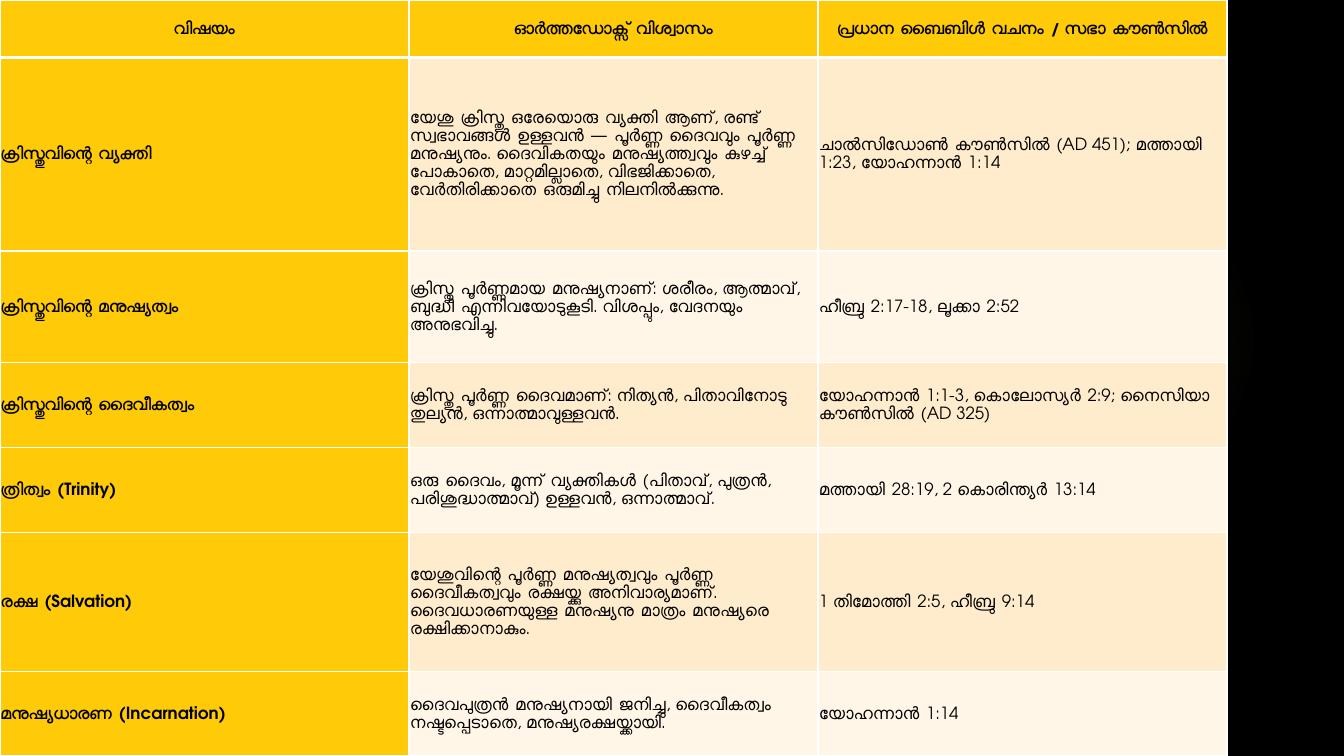
from typing import NamedTuple

from lxml.etree import SubElement
from pptx import Presentation
from pptx.dml.color import RGBColor
from pptx.enum.shapes import MSO_SHAPE
from pptx.enum.text import MSO_ANCHOR, PP_ALIGN
from pptx.oxml import parse_xml
from pptx.oxml.ns import nsdecls, qn
from pptx.slide import Slide
from pptx.table import _Cell
from pptx.util import Inches, Pt

FONT = "TeX Gyre Adventor"
COLORS = {
    "background": "000000",
    "text": "000000",
    "border": "FFFFFF",
    "gold": "FFCA08",
    "odd_row": "FFECCC",
    "even_row": "FFF6E7",
    "glow": "968071",
}
TABLE_WIDTH = 12.17
CELL_MARGIN = Inches(0.01)


class Doctrine(NamedTuple):
    topic: str
    belief: str
    reference: str
    height: float


HEADER = Doctrine("വിഷയം", "ഓർത്തഡോക്സ് വിശ്വാസം", "പ്രധാന ബൈബിൾ വചനം / സഭാ കൗൺസിൽ", 0.57)
DOCTRINES = [
    Doctrine(
        "ക്രിസ്തുവിന്റെ വ്യക്തി",
        "യേശു ക്രിസ്തു ഒരേയൊരു വ്യക്തി ആണ്, രണ്ട് സ്വഭാവങ്ങൾ ഉള്ളവൻ — പൂർണ്ണ ദൈവവും "
        "പൂർണ്ണ മനുഷ്യനും. ദൈവികതയും മനുഷ്യത്ത്വവും കുഴച്ച് പോകാതെ, മാറ്റമില്ലാതെ, "
        "വിഭജിക്കാതെ, വേർതിരിക്കാതെ ഒരുമിച്ചു നിലനിൽക്കുന്നു.",
        "ചാൽസിഡോൺ കൗൺസിൽ (AD 451); മത്തായി 1:23, യോഹന്നാൻ 1:14",
        1.92,
    ),
    Doctrine(
        "ക്രിസ്തുവിന്റെ മനുഷ്യത്വം",
        "ക്രിസ്തു പൂർണ്ണമായ മനുഷ്യനാണ്: ശരീരം, ആത്മാവ്, ബുദ്ധി എന്നിവയോടുകൂടി. "
        "വിശപ്പും, വേദനയും അനുഭവിച്ചു.",
        "ഹീബ്രു 2:17-18, ലൂക്കാ 2:52",
        1.11,
    ),
    Doctrine(
        "ക്രിസ്തുവിന്റെ ദൈവീകത്വം",
        "ക്രിസ്തു പൂർണ്ണ ദൈവമാണ്: നിത്യൻ, പിതാവിനോടു തുല്യൻ, ഒന്നാത്മാവുള്ളവൻ.",
        "യോഹന്നാൻ 1:1-3, കൊലോസ്യർ 2:9; നൈസിയാ കൗൺസിൽ (AD 325)",
        0.84,
    ),
    Doctrine(
        "ത്രിത്വം (Trinity)",
        "ഒരു ദൈവം, മൂന്ന് വ്യക്തികൾ (പിതാവ്, പുത്രൻ, പരിശുദ്ധാത്മാവ്) ഉള്ളവൻ, ഒന്നാത്മാവ്.",
        "മത്തായി 28:19, 2 കൊരിന്ത്യർ 13:14",
        0.84,
    ),
    Doctrine(
        "രക്ഷ (Salvation)",
        "യേശുവിന്റെ പൂർണ്ണ മനുഷ്യത്വവും പൂർണ്ണ ദൈവീകത്വവും രക്ഷയ്ക്കു അനിവാര്യമാണ്. "
        "ദൈവധാരണയുള്ള മനുഷ്യനു മാത്രം മനുഷ്യരെ രക്ഷിക്കാനാകും.",
        "1 തിമോത്തി 2:5, ഹീബ്രു 9:14",
        1.38,
    ),
    Doctrine(
        "മനുഷ്യധാരണ (Incarnation)",
        "ദൈവപുത്രൻ മനുഷ്യനായി ജനിച്ചു, ദൈവീകത്വം നഷ്ടപ്പെടാതെ, മനുഷ്യരക്ഷയ്ക്കായി.",
        "യോഹന്നാൻ 1:14",
        0.84,
    ),
]


def color(name: str) -> RGBColor:
    return RGBColor.from_string(COLORS[name])


def draw_glow(slide: Slide) -> None:
    """Draw a faint round light that fades out towards its rim."""
    size = Inches(3.08)
    glow = slide.shapes.add_shape(MSO_SHAPE.OVAL, Inches(9.41), Inches(1.83), size, size)
    glow.shadow.inherit = False
    glow.line.fill.background()
    stops = "".join(
        f'<a:gs pos="{position}000"><a:srgbClr val="{COLORS["glow"]}">'
        f'<a:alpha val="{opacity}000"/></a:srgbClr></a:gs>'
        for position, opacity in ((0, 7), (36, 6), (69, 0))
    )
    gradient = parse_xml(
        f'<a:gradFill {nsdecls("a")}><a:gsLst>{stops}</a:gsLst><a:path path="circle">'
        '<a:fillToRect l="50000" t="50000" r="50000" b="50000"/></a:path></a:gradFill>'
    )
    glow._element.spPr.find(qn("a:prstGeom")).addnext(gradient)


def set_borders(cell: _Cell, top: int, bottom: int) -> None:
    """Give the cell white borders; top and bottom are widths in points."""
    properties = cell._tc.get_or_add_tcPr()
    for side, width in (("L", 1), ("R", 1), ("T", top), ("B", bottom)):
        border = SubElement(properties, qn(f"a:ln{side}"), w=str(Pt(width)))
        fill = SubElement(border, qn("a:solidFill"))
        SubElement(fill, qn("a:srgbClr"), val=COLORS["border"])


def fill_cell(cell: _Cell, text: str, row: int, column: int) -> None:
    is_header = row == 0
    is_gold = is_header or column == 0
    set_borders(cell, top=3 if row == 1 else 1, bottom=3 if is_header else 1)
    cell.fill.solid()
    cell.fill.fore_color.rgb = color("gold" if is_gold else "odd_row" if row % 2 else "even_row")
    cell.margin_left = cell.margin_right = CELL_MARGIN
    cell.margin_top = cell.margin_bottom = CELL_MARGIN
    cell.vertical_anchor = MSO_ANCHOR.MIDDLE
    cell.text = text
    paragraph = cell.text_frame.paragraphs[0]
    paragraph.alignment = PP_ALIGN.CENTER if is_header else PP_ALIGN.LEFT
    paragraph.line_spacing = 1.07
    paragraph.font.name = FONT
    paragraph.font.size = Pt(12)
    paragraph.font.bold = is_gold
    paragraph.font.color.rgb = color("text")


def draw_table(slide: Slide, doctrines: list[Doctrine]) -> None:
    frame = slide.shapes.add_table(len(doctrines), 3, 0, 0, Inches(TABLE_WIDTH), Inches(7.5))
    table = frame.table
    for table_column in table.columns:
        table_column.width = Inches(TABLE_WIDTH / 3)
    for row, doctrine in enumerate(doctrines):
        table.rows[row].height = Inches(doctrine.height)
        for column, text in enumerate((doctrine.topic, doctrine.belief, doctrine.reference)):
            fill_cell(table.cell(row, column), text, row, column)


def main() -> None:
    presentation = Presentation()
    presentation.slide_width = Inches(13.33)
    presentation.slide_height = Inches(7.5)
    slide = presentation.slides.add_slide(presentation.slide_layouts[6])
    slide.background.fill.solid()
    slide.background.fill.fore_color.rgb = color("background")
    draw_glow(slide)
    draw_table(slide, [HEADER, *DOCTRINES])
    presentation.save("out.pptx")


if __name__ == "__main__":
    main()
